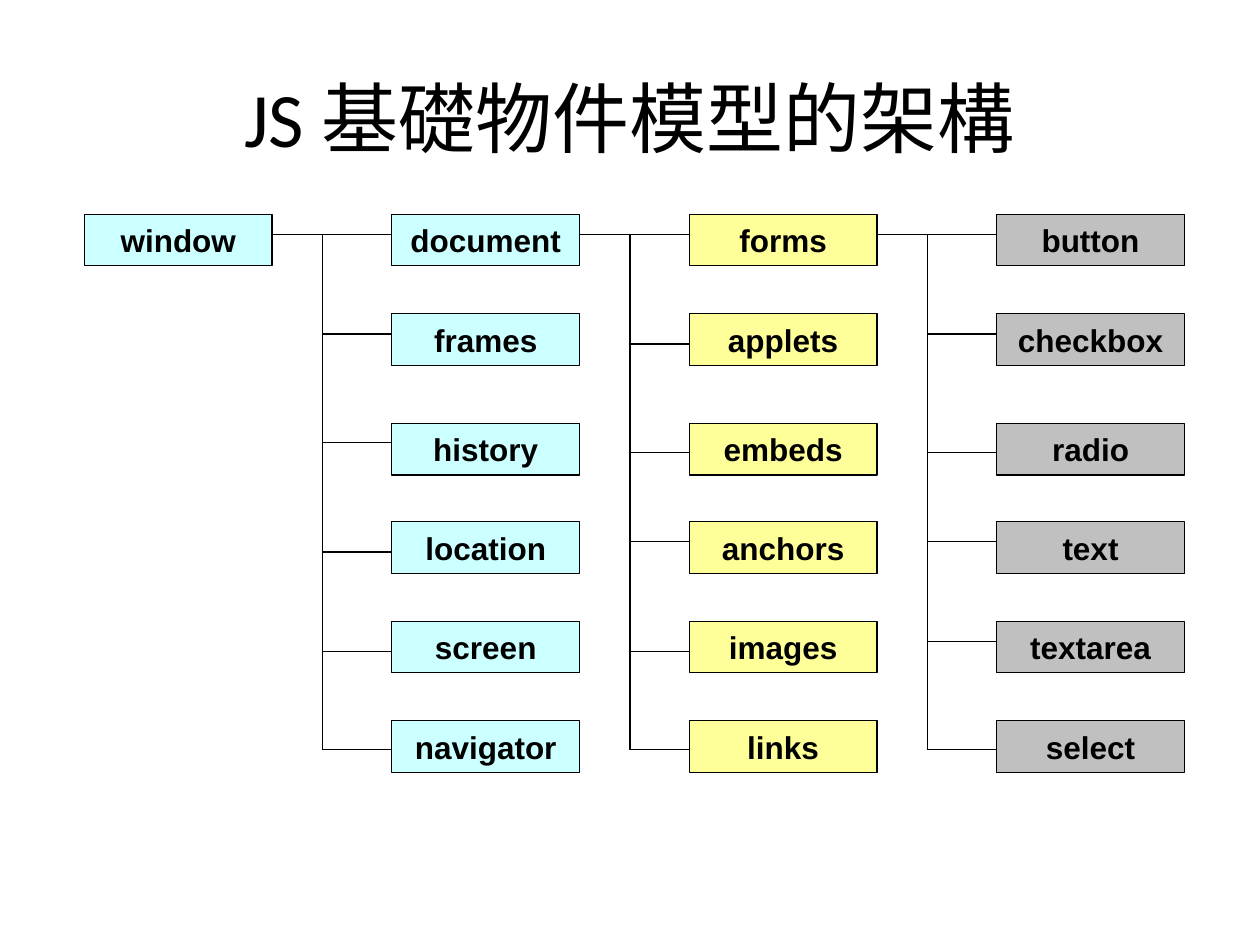
"""Build a slide showing the JavaScript base object hierarchy."""
from lxml import etree
from pptx import Presentation
from pptx.dml.color import RGBColor
from pptx.enum.shapes import MSO_CONNECTOR, MSO_SHAPE
from pptx.enum.text import MSO_ANCHOR, PP_ALIGN
from pptx.oxml.ns import qn
from pptx.util import Inches, Pt

RECTANGLE = MSO_SHAPE.RECTANGLE
STRAIGHT = MSO_CONNECTOR.STRAIGHT
MIDDLE = MSO_ANCHOR.MIDDLE
CENTER = PP_ALIGN.CENTER

BLACK = RGBColor(0x00, 0x00, 0x00)
CYAN = RGBColor(0xCC, 0xFF, 0xFF)
YELLOW = RGBColor(0xFF, 0xFF, 0x99)
GRAY = RGBColor(0xC0, 0xC0, 0xC0)

BOX_WIDTH, BOX_HEIGHT = 1.49, 0.41
COLUMNS = (0.67, 3.11, 5.47, 7.91)
ROWS = (1.70, 2.49, 3.36, 4.14, 4.93, 5.72)
ROOT_LEVEL = 1.86

# Per level: fill, trunk position, object names, branch heights below the root.
LEVELS = (
    (CYAN, 2.56,
     ("document", "frames", "history", "location", "screen", "navigator"),
     (2.65, 3.51, 4.38, 5.17, 5.95)),
    (YELLOW, 5.00,
     ("forms", "applets", "embeds", "anchors", "images", "links"),
     (2.73, 3.59, 4.30, 5.17, 5.95)),
    (GRAY, 7.36,
     ("button", "checkbox", "radio", "text", "textarea", "select"),
     (2.65, 3.59, 4.30, 5.09, 5.95)),
)


def style_text(frame, text, font_name, size, bold=False):
    """Write one centred black line of text into a frame."""
    frame.text = text
    frame.vertical_anchor = MIDDLE
    paragraph = frame.paragraphs[0]
    paragraph.alignment = CENTER
    font = paragraph.font
    font.name, font.size, font.bold = font_name, Pt(size), bold
    font.color.rgb = BLACK


def add_title(slide, text):
    """Place the slide title."""
    title = slide.shapes.title
    title.left, title.top = Inches(0.5), Inches(0.3)
    title.width, title.height = Inches(9), Inches(1.25)
    style_text(title.text_frame, text, "Calibri", 44)


def add_object_box(slide, name, left, top, fill):
    """Draw the box of one object."""
    box = slide.shapes.add_shape(RECTANGLE, Inches(left), Inches(top),
                                 Inches(BOX_WIDTH), Inches(BOX_HEIGHT))
    box.shadow.inherit = False
    box.fill.solid()
    box.fill.fore_color.rgb = fill
    box.line.color.rgb = BLACK
    box.line.width = Pt(0.75)
    style_text(box.text_frame, name, "Arial", 18, bold=True)


def add_line(slide, x1, y1, x2, y2):
    """Draw a thin straight line without a shadow."""
    line = slide.shapes.add_connector(STRAIGHT, Inches(x1), Inches(y1),
                                      Inches(x2), Inches(y2))
    line.line.color.rgb = BLACK
    line.line.width = Pt(0.75)
    etree.SubElement(line._element.spPr, qn("a:effectLst"))


def add_level(slide, parent_left, left, fill, trunk, names, branches):
    """Draw one column of objects and the lines from its parent."""
    for name, top in zip(names, ROWS):
        add_object_box(slide, name, left, top, fill)
    add_line(slide, parent_left + BOX_WIDTH, ROOT_LEVEL, left, ROOT_LEVEL)
    add_line(slide, trunk, ROOT_LEVEL, trunk, branches[-1])
    for height in branches:
        add_line(slide, trunk, height, left, height)


def main():
    """Build and save the presentation."""
    deck = Presentation()
    deck.slide_width, deck.slide_height = Inches(10), Inches(7.5)
    slide = deck.slides.add_slide(deck.slide_layouts[5])
    add_title(slide, "JS 基礎物件模型的架構")
    add_object_box(slide, "window", COLUMNS[0], ROWS[0], CYAN)
    for parent_left, left, level in zip(COLUMNS, COLUMNS[1:], LEVELS):
        add_level(slide, parent_left, left, *level)
    deck.save("out.pptx")


main()
